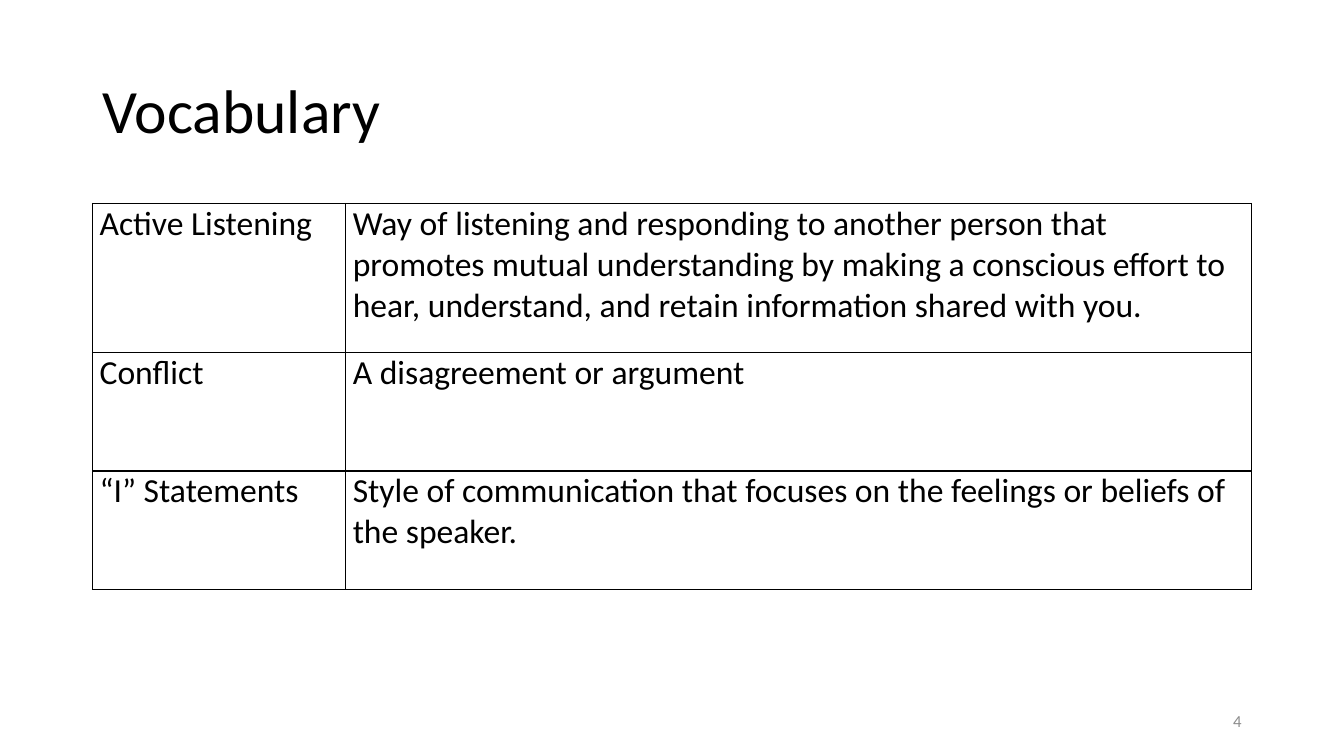
from lxml import etree
from pptx import Presentation
from pptx.dml.color import RGBColor
from pptx.enum.text import MSO_ANCHOR, PP_ALIGN
from pptx.oxml.ns import qn
from pptx.util import Cm, Pt

BLACK = RGBColor(0x00, 0x00, 0x00)
WHITE = RGBColor(0xFF, 0xFF, 0xFF)
GRAY = RGBColor(0x8C, 0x8C, 0x8C)
LEFT, RIGHT = PP_ALIGN.LEFT, PP_ALIGN.RIGHT
MIDDLE, TOP = MSO_ANCHOR.MIDDLE, MSO_ANCHOR.TOP

TERMS = [
    ("Active Listening",
     "Way of listening and responding to another person that promotes mutual "
     "understanding by making a conscious effort to hear, understand, and "
     "retain information shared with you."),
    ("Conflict", "A disagreement or argument"),
    ("“I” Statements",
     "Style of communication that focuses on the feelings or beliefs of the speaker."),
]


class SlideBuilder:
    font = "Calibri"
    border = Pt(1)

    def __init__(self, slide):
        self.s = slide

    def set_text(self, p, text, size, color):
        p.text = text
        p.font.name = self.font
        p.font.size = Pt(size)
        p.font.color.rgb = color

    def text_box(self, box, text, size, color=BLACK, align=LEFT, spacing=1.0):
        tf = self.s.shapes.add_textbox(*map(Cm, box)).text_frame
        tf.word_wrap = True
        tf.vertical_anchor = MIDDLE
        p = tf.paragraphs[0]
        p.alignment = align
        p.line_spacing = spacing
        self.set_text(p, text, size, color)

    def cell_borders(self, cell):
        tcPr = cell._tc.get_or_add_tcPr()
        for i, side in enumerate(("lnL", "lnR", "lnT", "lnB")):
            ln = etree.Element(qn(f"a:{side}"), w=str(self.border))
            fill = etree.SubElement(ln, qn("a:solidFill"))
            etree.SubElement(fill, qn("a:srgbClr"), val=str(BLACK))
            tcPr.insert(i, ln)

    def table(self, left, top, widths, heights, rows, size):
        frame = self.s.shapes.add_table(
            len(heights), len(widths), Cm(left), Cm(top),
            Cm(sum(widths)), Cm(sum(heights)))
        table = frame.table
        table.first_row = table.horz_banding = False
        for column, width in zip(table.columns, widths):
            column.width = Cm(width)
        for row, height, texts in zip(table.rows, heights, rows):
            row.height = Cm(height)
            for cell, text in zip(row.cells, texts):
                cell.fill.solid()
                cell.fill.fore_color.rgb = WHITE
                cell.margin_left = cell.margin_right = Cm(0.18)
                cell.margin_top = cell.margin_bottom = 0
                cell.vertical_anchor = TOP
                p = cell.text_frame.paragraphs[0]
                p.space_after = Pt(6)
                self.set_text(p, text, size, BLACK)
                self.cell_borders(cell)


def main():
    prs = Presentation()
    prs.slide_width, prs.slide_height = Cm(33.87), Cm(19.05)
    sb = SlideBuilder(prs.slides.add_slide(prs.slide_layouts[6]))

    # Title
    sb.text_box((2.33, 1.01, 29.21, 3.68), "Vocabulary", 44, spacing=0.9)

    # Terms and definitions
    sb.table(2.33, 5.13, (6.38, 22.83), (3.76, 2.98, 2.98), TERMS, 24)

    # Slide number
    sb.text_box((23.92, 17.66, 7.62, 1.01), "4", 12, GRAY, RIGHT)

    prs.save("out.pptx")


if __name__ == "__main__":
    main()
